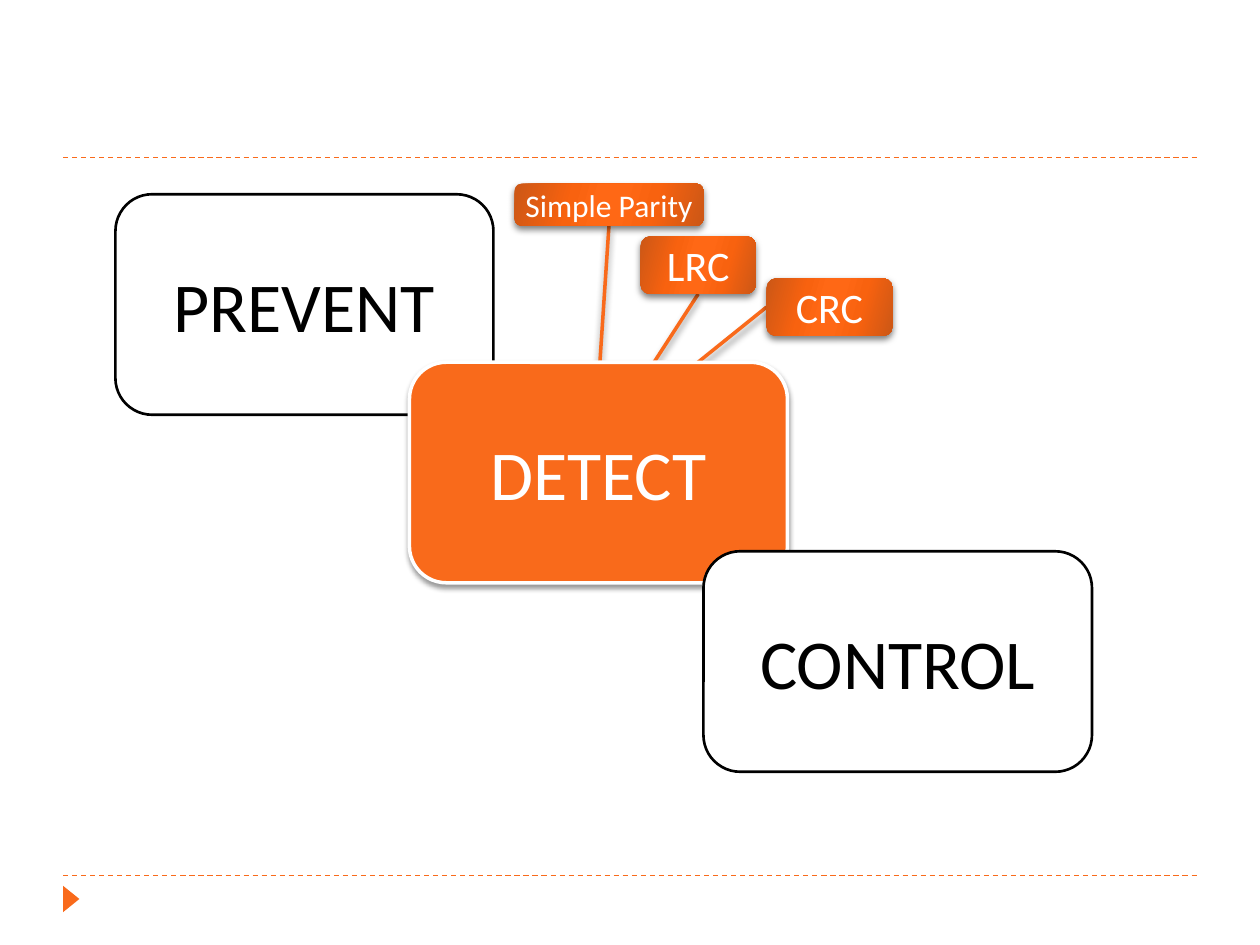
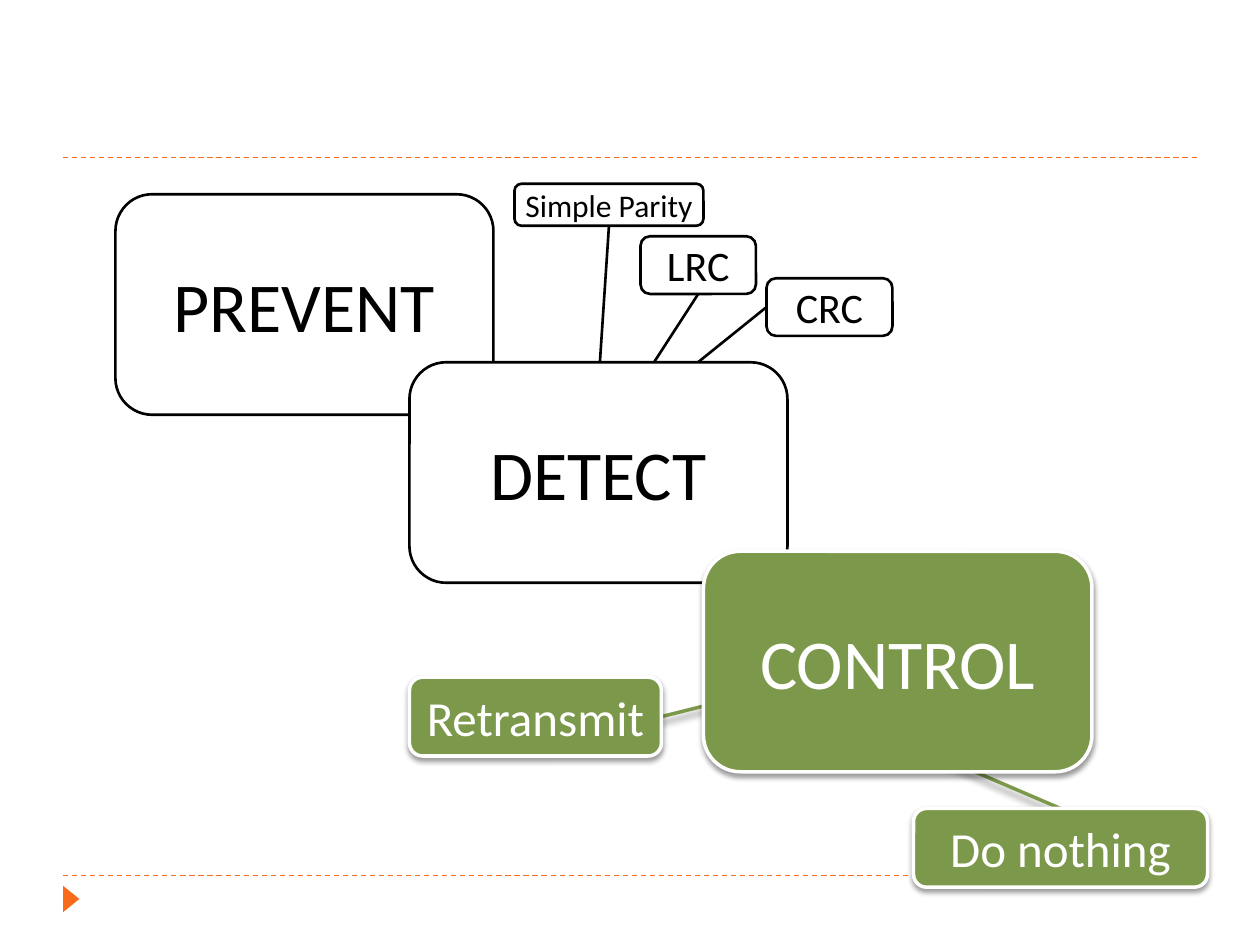
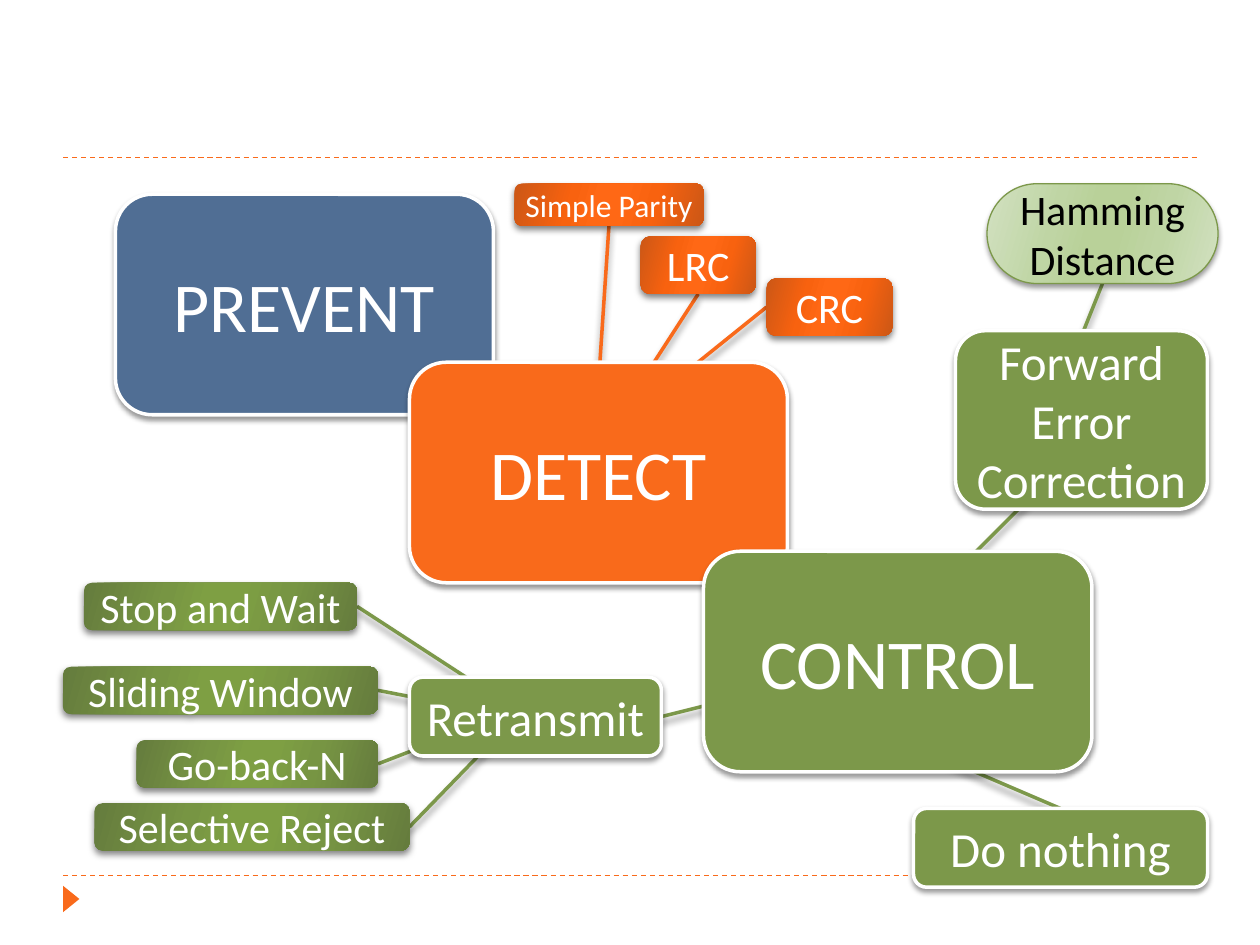
from lxml.etree import SubElement
from pptx import Presentation
from pptx.dml.color import RGBColor
from pptx.enum.dml import MSO_LINE
from pptx.enum.shapes import MSO_CONNECTOR, MSO_SHAPE
from pptx.enum.text import MSO_ANCHOR, PP_ALIGN
from pptx.oxml.ns import qn
from pptx.util import Inches, Pt

FONT = "Calibri"
BLACK, WHITE = "000000", "FFFFFF"
HUES = {"blue": "506E94", "orange": "F96A1B", "green": "7C984A"}
# Edge, middle and centre tones of each gradient
TONES = {
    "orange": ["CC5716", "F8620F", "FF6815"],
    "green": ["657C3D", "779543", "7E9F43"],
    "pale": ["D2E1C1", "BFD5A4", "B9D199"],
}
STOPS = [0, 30, 45, 55, 73, 100]
CELL = Inches(1) / 24  # the grid has 24 cells to the inch

# text, hue, look, size, first slide, (column, row, columns, rows)
BOXES = [
    ("PREVENT", "blue", "solid", 40, 1, (22, 37, 72, 42)),
    ("DETECT", "orange", "solid", 40, 1, (78, 69, 72, 42)),
    ("CONTROL", "green", "solid", 40, 1, (134, 105, 74, 42)),
    ("Simple Parity", "orange", "glossy", 18, 1, (98, 35, 36, 8)),
    ("LRC", "orange", "glossy", 24, 1, (122, 45, 22, 11)),
    ("CRC", "orange", "glossy", 24, 1, (146, 53, 24, 11)),
    ("Retransmit", "green", "solid", 28, 2, (78, 129, 48, 15)),
    ("Do nothing", "green", "solid", 28, 2, (174, 154, 56, 15)),
    ("Stop and Wait", "green", "glossy", 24, 3, (16, 111, 52, 9)),
    ("Sliding Window", "green", "glossy", 24, 3, (12, 127, 60, 9)),
    ("Go-back-N", "green", "glossy", 24, 3, (26, 141, 46, 9)),
    ("Selective Reject", "green", "glossy", 24, 3, (18, 153, 60, 9)),
    ("Forward Error Correction", "green", "solid", 28, 3, (182, 63, 48, 34)),
    ("Hamming Distance", "green", "pale", 24, 3, (188, 35, 44, 19)),
]
TIGHT = {"Simple Parity", "Forward Error Correction"}  # boxes without insets

# hue, first slide, (column, row) of the start and of the end
LINKS = [
    ("orange", 1, (114, 73, 116, 43)),
    ("orange", 1, (122, 73, 133, 56)),
    ("orange", 1, (128, 73, 146, 58.5)),
    ("green", 2, (126, 136.5, 148, 131)),
    ("green", 2, (202, 154, 174, 142)),
    ("green", 3, (98, 135, 68, 115.5)),
    ("green", 3, (90, 135, 72, 131.5)),
    ("green", 3, (94, 137, 72, 145.5)),
    ("green", 3, (94, 141, 78, 157.5)),
    ("green", 3, (178, 113, 198, 93)),
    ("green", 3, (204, 69, 210, 54)),
]
LIT = [{"orange"}, {"green"}, set(HUES)]  # hues in colour on each slide


def rgb(code):
    return RGBColor.from_string(code)


def shade(shape, alpha=0, blur=0, drop=0):
    """Replace the theme's effects by a shadow below, or by none if alpha is 0."""
    effects = SubElement(shape.element.spPr, qn("a:effectLst"))
    if alpha:
        outer = SubElement(effects, qn("a:outerShdw"), blurRad=str(Pt(blur)),
                           dist=str(Pt(drop)), dir="5400000", rotWithShape="0")
        tint = SubElement(outer, qn("a:srgbClr"), val=BLACK)
        SubElement(tint, qn("a:alpha"), val=str(alpha * 1000))


prs = Presentation()
prs.slide_width, prs.slide_height = Inches(10), Inches(7.5)
layout = prs.slide_layouts[6]
for holder in list(layout.placeholders):
    holder.element.getparent().remove(holder.element)
slides = [prs.slides.add_slide(layout) for _ in LIT]

# Frame: drawn once, then moved to the layout that all slides share
draft = slides[0].shapes
frame = []
for y in (1.25, 6.95):
    rule = draft.add_connector(MSO_CONNECTOR.STRAIGHT, Inches(0.5), Inches(y),
                               Inches(9.5), Inches(y))
    rule.line.color.rgb = rgb(HUES["orange"])
    rule.line.width = Pt(0.75)
    rule.line.dash_style = MSO_LINE.DASH
    frame.append(rule)
mark = draft.add_shape(MSO_SHAPE.ISOSCELES_TRIANGLE, Inches(0.46), Inches(7.07),
                       Inches(0.21), Inches(0.13))
mark.rotation = 90
mark.fill.solid()
mark.fill.fore_color.rgb = rgb(HUES["orange"])
mark.line.fill.background()
frame.append(mark)
for part in frame:
    shade(part)
    layout.shapes.element.append(part.element)

for number, (slide, lit) in enumerate(zip(slides, LIT), start=1):
    for hue, first, ends in LINKS:
        if first > number:
            continue
        link = slide.shapes.add_connector(MSO_CONNECTOR.STRAIGHT,
                                          *(round(CELL * n) for n in ends))
        link.line.color.rgb = rgb(HUES[hue] if hue in lit else BLACK)
        link.line.width = Pt(2 if hue in lit else 1.5)
        if hue in lit:
            shade(link, 40, 4, 3.4)
        else:
            shade(link)

    for text, hue, look, size, first, place in BOXES:
        if first > number:
            continue
        box = slide.shapes.add_shape(MSO_SHAPE.ROUNDED_RECTANGLE,
                                     *(round(CELL * n) for n in place))
        style = look if hue in lit else "plain"
        if style in ("solid", "plain"):
            box.fill.solid()
            box.fill.fore_color.rgb = rgb(HUES[hue] if style == "solid" else WHITE)
        else:
            box.fill.gradient()
            box.fill.gradient_angle = 344
            stops = box.element.spPr.find(".//" + qn("a:gsLst"))
            stops.clear()
            tones = TONES["pale" if style == "pale" else hue]
            for stop, tone in zip(STOPS, tones + tones[::-1]):
                gs = SubElement(stops, qn("a:gs"), pos=str(stop * 1000))
                SubElement(gs, qn("a:srgbClr"), val=tone)

        if style == "glossy":
            box.line.fill.background()
            shade(box, 50, 4, 2)
        else:
            edge, width = {"solid": (WHITE, 2), "plain": (BLACK, 1.5),
                           "pale": (HUES[hue], 0.75)}[style]
            box.line.color.rgb = rgb(edge)
            box.line.width = Pt(width)
            shade(box, 0 if style == "plain" else 40, 3, 2)
        if look == "pale":
            box.adjustments[0] = 0.5

        frame = box.text_frame
        frame.text = text
        frame.word_wrap = True
        frame.vertical_anchor = MSO_ANCHOR.MIDDLE
        if text in TIGHT:
            frame.margin_left = frame.margin_right = 0
            frame.margin_top = frame.margin_bottom = 0
        line = frame.paragraphs[0]
        line.alignment = PP_ALIGN.CENTER
        font = line.runs[0].font
        font.name, font.size = FONT, Pt(size)
        font.color.rgb = rgb(WHITE if style in ("solid", "glossy") else BLACK)

prs.save("out.pptx")
